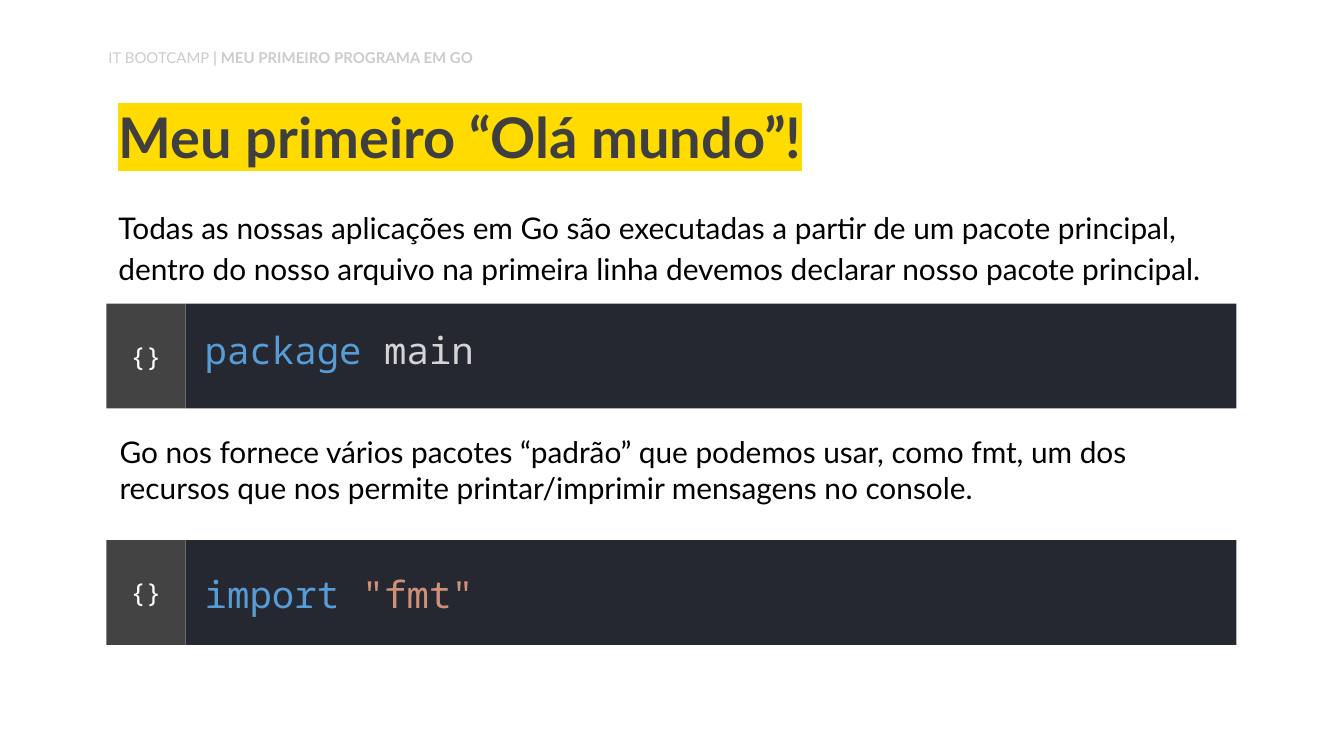
from lxml import etree
from pptx import Presentation
from pptx.dml.color import RGBColor
from pptx.enum.shapes import MSO_SHAPE
from pptx.enum.text import MSO_ANCHOR, PP_ALIGN
from pptx.oxml.ns import qn
from pptx.util import Cm, Pt

RECTANGLE = MSO_SHAPE.RECTANGLE
TOP, MIDDLE, BOTTOM = MSO_ANCHOR.TOP, MSO_ANCHOR.MIDDLE, MSO_ANCHOR.BOTTOM
LEFT, CENTER = PP_ALIGN.LEFT, PP_ALIGN.CENTER
SANS, MONO = "Lato", "Noto Sans Mono"


def color(value):
    return RGBColor.from_string(value)


def write(box, spans, size, font=SANS, anchor=TOP, align=LEFT, spacing=1.0,
          after=0, margins=(0.25, 0.25, 0.25, 0.25), highlight=None):
    """Fill a box with one paragraph of (text, colour, bold) spans."""
    frame = box.text_frame
    frame.word_wrap = True
    frame.vertical_anchor = anchor
    (frame.margin_left, frame.margin_top,
     frame.margin_right, frame.margin_bottom) = [Cm(m) for m in margins]
    para = frame.paragraphs[0]
    para.alignment = align
    para.line_spacing = spacing
    para.space_after = Pt(after)
    for text, ink, bold in spans:
        span = para.add_run()
        span.text = text
        span.font.name = font
        span.font.size = Pt(size)
        span.font.bold = bold
        span.font.color.rgb = color(ink)
        if highlight:
            mark = etree.Element(qn("a:highlight"))
            etree.SubElement(mark, qn("a:srgbClr"), val=highlight)
            span._r.rPr.find(qn("a:solidFill")).addnext(mark)


deck = Presentation()
deck.slide_width, deck.slide_height = Cm(25.4), Cm(14.29)
page = deck.slides.add_slide(deck.slide_layouts[6])
shapes = page.shapes

# Running header
header = shapes.add_textbox(Cm(1.8), Cm(0.79), Cm(7.98), Cm(0.69))
write(header, [("IT BOOTCAMP", "CCCCCC", False),
               (" | MEU PRIMEIRO PROGRAMA EM GO", "CCCCCC", True)],
      size=8, after=12, margins=(0.25, 0.13, 0.25, 0.13))

# Title
title = shapes.add_textbox(Cm(1.99), Cm(1.73), Cm(21.41), Cm(1.75))
write(title, [("Meu primeiro “Olá mundo”!", "3F3F3F", True)],
      size=30, anchor=BOTTOM, spacing=0.9, highlight="FFDB00")

# Explanations
intro = shapes.add_textbox(Cm(1.99), Cm(3.61), Cm(21.41), Cm(1.98))
write(intro, [("Todas as nossas aplicações em Go são executadas a partir de um "
               "pacote principal, dentro do nosso arquivo na primeira linha "
               "devemos declarar nosso pacote principal.", "000000", False)],
      size=16, spacing=1.15, after=11, highlight="FFFFFF")

packages = shapes.add_textbox(Cm(2.01), Cm(7.95), Cm(21.36), Cm(1.88))
write(packages, [("Go nos fornece vários pacotes “padrão” que podemos usar, "
                  "como fmt, um dos recursos que nos permite printar/imprimir "
                  "mensagens no console.", "000000", False)], size=16)

# Code bars: a dark strip with a braces tab on its left
code_bars = [
    (5.74, 1.0, [("package", "569CD6", False), (" main", "D4D4D4", False)]),
    (10.21, 1.36, [("import ", "569CD6", False), ('"fmt"', "CE9178", False)]),
]
for top, spacing, code in code_bars:
    parts = [
        (3.51, 19.86, "262831", code,
         dict(size=20, spacing=spacing, margins=(0.36, 0, 0.25, 0.25))),
        (2.01, 1.5, "434343", [("{}", "FFFFFF", False)],
         dict(size=14, align=CENTER)),
    ]
    for left, width, fill, spans, style in parts:
        bar = shapes.add_shape(RECTANGLE, Cm(left), Cm(top), Cm(width), Cm(1.98))
        bar.shadow.inherit = False
        bar.fill.solid()
        bar.fill.fore_color.rgb = color(fill)
        bar.line.fill.background()
        write(bar, spans, font=MONO, anchor=MIDDLE, **style)

deck.save("out.pptx")
